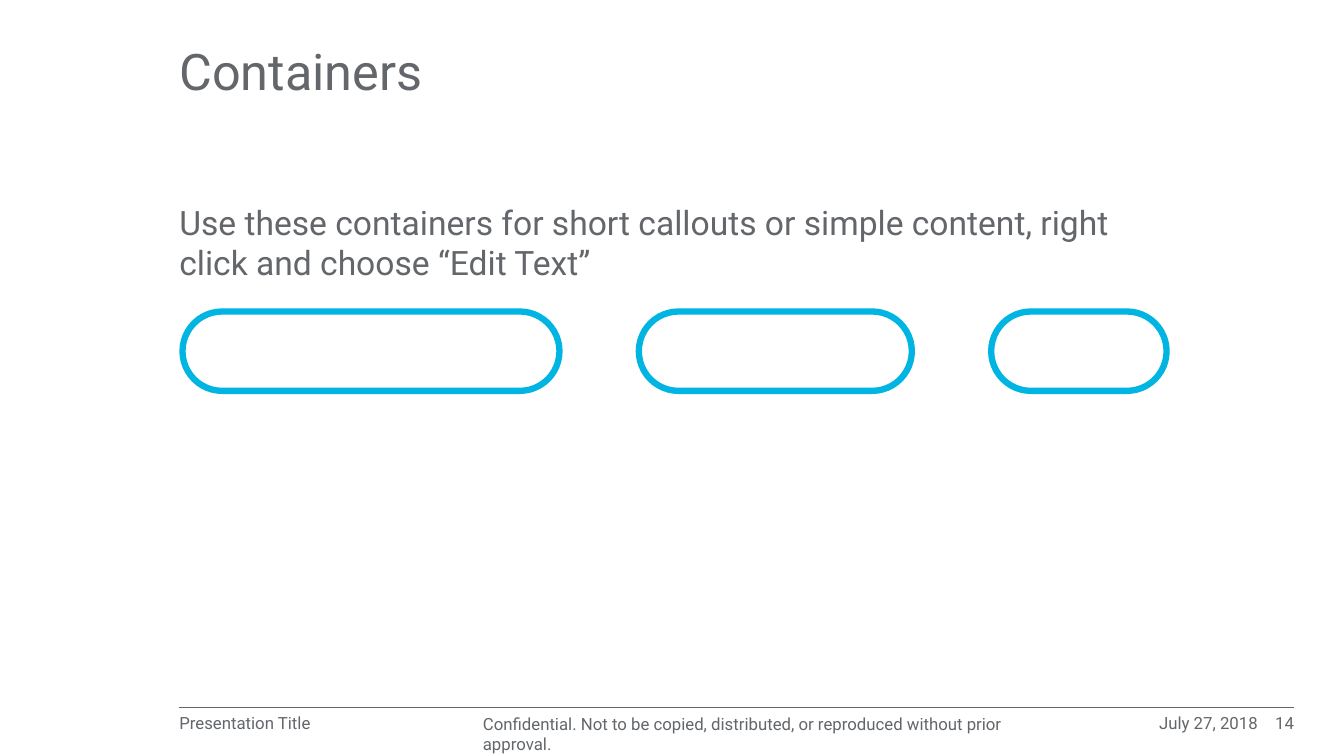
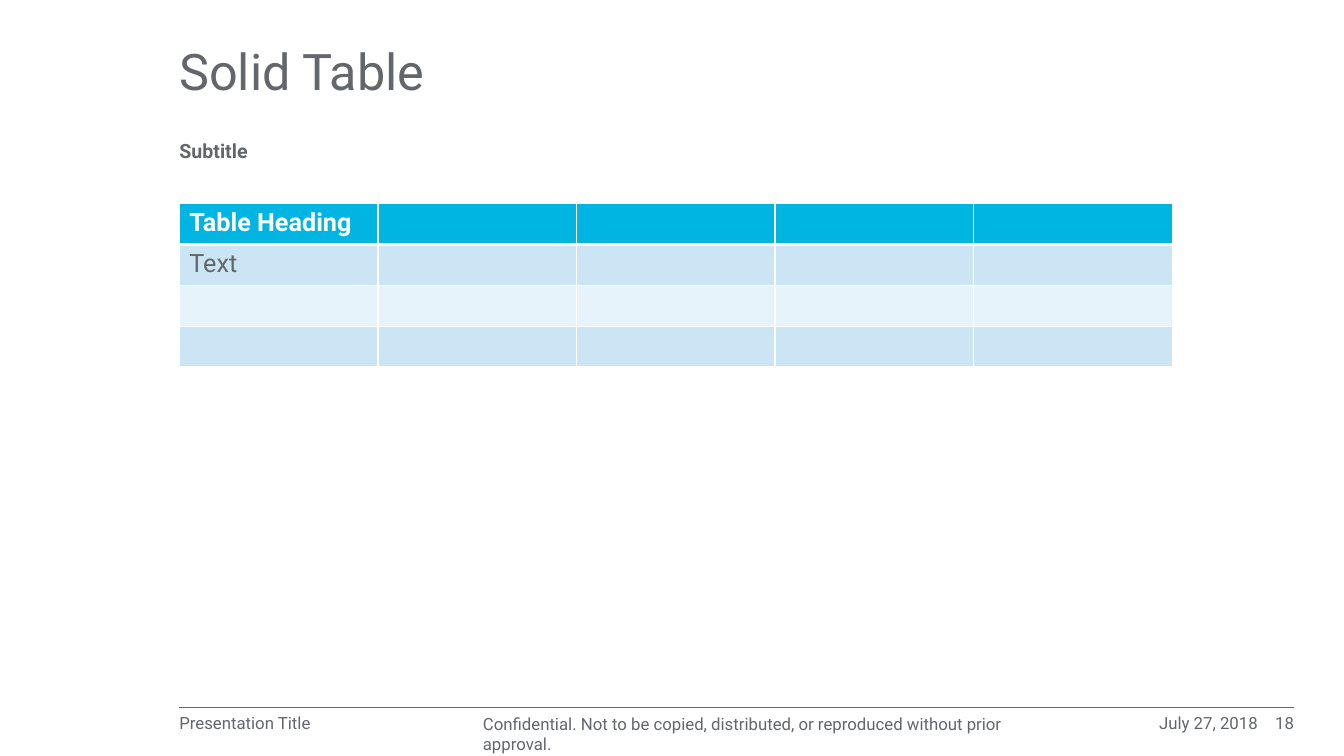
from lxml.etree import SubElement
from pptx import Presentation
from pptx.dml.color import RGBColor
from pptx.enum.shapes import MSO_CONNECTOR, MSO_SHAPE
from pptx.enum.text import MSO_ANCHOR as Anchor, PP_ALIGN as Align
from pptx.oxml.ns import qn
from pptx.util import Cm, Pt

GRAY = RGBColor(0x63, 0x66, 0x6A)
CYAN = RGBColor(0x00, 0xB5, 0xE2)
PALE_BLUE = RGBColor(0xCC, 0xE5, 0xF4)
PALEST_BLUE = RGBColor(0xE7, 0xF3, 0xFA)
WHITE = RGBColor(0xFF, 0xFF, 0xFF)
FONT = "Roboto"

LEFT = 4.52
CONTENT_WIDTH = 25.02
CONTENT_TOP = 5.13
FOOTER_RIGHT = 32.61
FOOTER_LINE_TOP = 17.81
FOOTER_TEXT_TOP = 17.98
FOOTER_TEXT_HEIGHT = 0.51


def write_text(frame, text, size=12, color=GRAY, bold=False, align=Align.LEFT, spacing=None):
    """Put one formatted paragraph into a text frame."""
    paragraph = frame.paragraphs[0]
    paragraph.alignment = align
    if spacing:
        paragraph.line_spacing = spacing
    run = paragraph.add_run()
    run.text = text
    run.font.name = FONT
    run.font.size = Pt(size)
    run.font.bold = bold
    run.font.color.rgb = color


def add_text(slide, text, left, top, width, height, anchor=Anchor.TOP, **text_format):
    """Add a wrapping text box without margins."""
    box = slide.shapes.add_textbox(Cm(left), Cm(top), Cm(width), Cm(height))
    frame = box.text_frame
    frame.word_wrap = True
    frame.vertical_anchor = anchor
    frame.margin_left = frame.margin_top = frame.margin_right = frame.margin_bottom = 0
    write_text(frame, text, **text_format)


def add_footer(slide, number):
    """Add the footer rule and its four texts."""
    line_top = Cm(FOOTER_LINE_TOP)
    line = slide.shapes.add_connector(
        MSO_CONNECTOR.STRAIGHT, Cm(LEFT), line_top, Cm(FOOTER_RIGHT), line_top)
    line.line.color.rgb = GRAY
    line.line.width = Pt(0.25)
    SubElement(line._element.spPr, qn("a:effectLst"))

    notice = "Confidential. Not to be copied, distributed, or reproduced without prior approval."
    for text, left, width, align, spacing in (
        ("Presentation Title", LEFT, 7.47, Align.LEFT, 0.99),
        (notice, 12.17, 14.33, Align.LEFT, None),
        ("July 27, 2018", 26.49, 5.21, Align.RIGHT, 0.99),
        (str(number), 31.7, 0.91, Align.RIGHT, 0.99),
    ):
        add_text(slide, text, left, FOOTER_TEXT_TOP, width, FOOTER_TEXT_HEIGHT,
                 align=align, spacing=spacing)


def add_slide(presentation, title, number):
    """Add a blank slide with the shared title and footer."""
    slide = presentation.slides.add_slide(presentation.slide_layouts[6])
    add_text(slide, title, LEFT, 0.61, CONTENT_WIDTH, 2.54,
             anchor=Anchor.MIDDLE, size=36, spacing=0.9)
    add_footer(slide, number)
    return slide


def add_containers(slide, left, top, widths, height, gap):
    """Add a row of outlined pills with equal gaps."""
    for width in widths:
        pill = slide.shapes.add_shape(
            MSO_SHAPE.ROUNDED_RECTANGLE, Cm(left), Cm(top), Cm(width), Cm(height))
        pill.adjustments[0] = 0.5
        pill.shadow.inherit = False
        pill.fill.background()
        pill.line.color.rgb = CYAN
        pill.line.width = Pt(4.5)
        left += width + gap


def set_borders(cell, **widths):
    """Give a cell white borders, with widths in points by side."""
    properties = cell._tc.get_or_add_tcPr()
    for side in "LRTB":
        border = SubElement(properties, qn(f"a:ln{side}"), w=str(Pt(widths.get(side, 1))))
        fill = SubElement(border, qn("a:solidFill"))
        SubElement(fill, qn("a:srgbClr"), val=str(WHITE))


def add_solid_table(slide, rows, column_count, row_height):
    """Add a table with a solid heading row and banded body rows."""
    frame = slide.shapes.add_table(
        len(rows), column_count, Cm(LEFT), Cm(CONTENT_TOP),
        Cm(CONTENT_WIDTH), Cm(row_height * len(rows)))
    table = frame.table
    for row_index, texts in enumerate(rows):
        is_heading = row_index == 0
        if is_heading:
            fill, widths = CYAN, {"B": 3}
        else:
            fill = PALE_BLUE if row_index % 2 else PALEST_BLUE
            widths = {"T": 3} if row_index == 1 else {}
        for column_index in range(column_count):
            cell = table.cell(row_index, column_index)
            set_borders(cell, **widths)
            cell.fill.solid()
            cell.fill.fore_color.rgb = fill
            if column_index < len(texts):
                write_text(cell.text_frame, texts[column_index], size=18,
                           color=WHITE if is_heading else GRAY, bold=is_heading)


def build_containers_slide(presentation):
    """Build the slide with pill containers."""
    slide = add_slide(presentation, "Containers", 14)
    add_text(slide, "Use these containers for short callouts or simple content, "
             "right click and choose “Edit Text”",
             LEFT, CONTENT_TOP, CONTENT_WIDTH, 12.07, size=24, spacing=0.99)
    add_containers(slide, left=4.6, top=7.85, widths=(9.5, 6.88, 4.42), height=2, gap=2)


def build_table_slide(presentation):
    """Build the slide with the solid table."""
    slide = add_slide(presentation, "Solid Table", 18)
    add_text(slide, "Subtitle", LEFT, 3.15, CONTENT_WIDTH, 0.94,
             anchor=Anchor.BOTTOM, size=14, bold=True, spacing=0.9)
    add_solid_table(slide, [["Table Heading"], ["Text"], [], []], column_count=5, row_height=1.03)


def main():
    """Build and save the presentation."""
    presentation = Presentation()
    presentation.slide_width = Cm(33.87)
    presentation.slide_height = Cm(19.05)
    build_containers_slide(presentation)
    build_table_slide(presentation)
    presentation.save("out.pptx")


if __name__ == "__main__":
    main()
